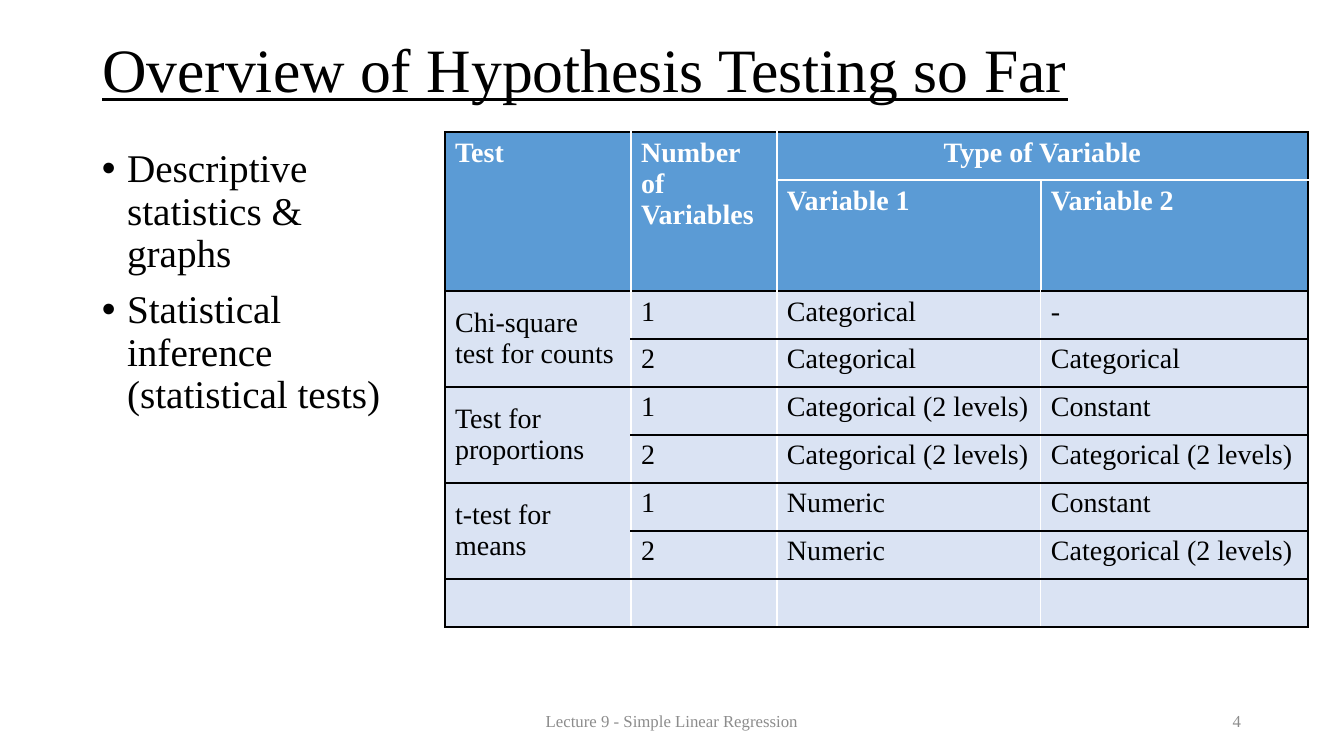
"""Build the slide that sums up the hypothesis tests met so far."""
import pptx
import pptx.dml.color
import pptx.enum.text
import pptx.oxml
import pptx.oxml.ns
import pptx.util

RGB = pptx.dml.color.RGBColor
BLACK = RGB(0x00, 0x00, 0x00)
WHITE = RGB(0xFF, 0xFF, 0xFF)
GREY = RGB(0x8C, 0x8C, 0x8C)
BLUE = RGB(0x5B, 0x9B, 0xD5)
PALE = RGB(0xDA, 0xE3, 0xF3)
ALIGN = pptx.enum.text.PP_ALIGN
ANCHOR = pptx.enum.text.MSO_ANCHOR
SCALE = 914400 / 100.8
PLAIN = "{2D5ABB26-0587-4C30-8999-92F81FD0307C}"

WIDTHS = [186, 146, 264, 267]
HEIGHTS = [48, 103] + [48] * 7
HEADS = 2
MERGES = [(0, 0, 1, 0), (0, 1, 1, 1), (0, 2, 0, 3),
          (2, 0, 3, 0), (4, 0, 5, 0), (6, 0, 7, 0)]
ROWS = [
    ["Test", "Number of Variables", "Type of Variable", ""],
    ["", "", "Variable 1", "Variable 2"],
    ["Chi-square test for counts", "1", "Categorical", "-"],
    ["", "2", "Categorical", "Categorical"],
    ["Test for proportions", "1", "Categorical (2 levels)", "Constant"],
    ["", "2", "Categorical (2 levels)", "Categorical (2 levels)"],
    ["t-test for means", "1", "Numeric", "Constant"],
    ["", "2", "Numeric", "Categorical (2 levels)"],
    ["", "", "", ""],
]


def px(count):
    return pptx.util.Emu(round(count * SCALE))


def child(xml):
    return pptx.oxml.parse_xml(xml.replace(">", f" {pptx.oxml.ns.nsdecls('a')}>", 1))


class Deck:
    def __init__(self):
        self.font = "Times New Roman"
        self.show = pptx.Presentation()
        self.show.slide_width, self.show.slide_height = px(1344), px(756)
        self.slide = self.show.slides.add_slide(self.show.slide_layouts[5])

    def style(self, frame, size, color, bold=False, align=ALIGN.LEFT):
        for para in frame.paragraphs:
            para.alignment = align
            for run in para.runs:
                run.font.name = self.font
                run.font.size = pptx.util.Pt(size)
                run.font.color.rgb = color
                run.font.bold = bold

    def title(self, text, left, top, width, height):
        shape = self.slide.shapes.title
        shape.left, shape.top = px(left), px(top)
        shape.width, shape.height = px(width), px(height)
        frame = shape.text_frame
        frame.text = text
        frame.auto_size = pptx.enum.text.MSO_AUTO_SIZE.NONE
        frame.vertical_anchor = ANCHOR.MIDDLE
        self.style(frame, 44, BLACK)
        frame.paragraphs[0].line_spacing = 0.9
        frame.paragraphs[0].runs[0].font.underline = True

    def box(self, text, left, top, width, height):
        shape = self.slide.shapes.add_textbox(px(left), px(top), px(width), px(height))
        frame = shape.text_frame
        frame.word_wrap = True
        frame.text = text
        return frame

    def list(self, items, left, top, width, height):
        frame = self.box("\n".join(items), left, top, width, height)
        for index, para in enumerate(frame.paragraphs):
            props = para._p.get_or_add_pPr()
            props.set("marL", "228600")
            props.set("indent", "-228600")
            props.append(child('<a:buFont typeface="Arial"></a:buFont>'))
            props.append(child('<a:buChar char="•"></a:buChar>'))
            para.line_spacing = 0.9
            if index:
                para.space_before = pptx.util.Pt(10)
        self.style(frame, 28, BLACK)

    def foot(self, text, left, width, align):
        frame = self.box(text, left, 701, width, 40)
        frame.vertical_anchor = ANCHOR.MIDDLE
        self.style(frame, 12, GREY, align=align)

    def edge(self, cell, side, color, points):
        width = pptx.util.Pt(points)
        cell._tc.get_or_add_tcPr().append(child(
            f'<a:ln{side} w="{width}"><a:solidFill><a:srgbClr val="{color}"/>'
            f'</a:solidFill></a:ln{side}>'))

    def frame(self, cell, row, col):
        head = row < HEADS
        inner = (WHITE, 1.5 if head else 1)
        outer = (BLACK, 1.5)
        split = (WHITE, 1.5)
        wide = cell.span_width if cell.is_merge_origin else 1
        tall = cell.span_height if cell.is_merge_origin else 1
        covered = cell.is_spanned
        if not (covered and row == 0):
            self.edge(cell, "L", *(inner if col else outer))
        self.edge(cell, "R", *(outer if col + wide == len(WIDTHS) else inner))
        if not (covered and row):
            self.edge(cell, "T", *(split if row == 1 else outer))
        self.edge(cell, "B", *(split if row + tall == 1 and col >= 2 else outer))

    def table(self, rows, left, top):
        shape = self.slide.shapes.add_table(
            len(rows), len(WIDTHS), px(left), px(top), px(sum(WIDTHS)), px(sum(HEIGHTS)))
        table = shape.table
        table.first_row = table.horz_banding = False
        table._tbl.tblPr.find(pptx.oxml.ns.qn("a:tableStyleId")).text = PLAIN
        for column, width in zip(table.columns, WIDTHS):
            column.width = px(width)
        for line, height in zip(table.rows, HEIGHTS):
            line.height = px(height)
        for top_row, first, bottom, last in MERGES:
            table.cell(top_row, first).merge(table.cell(bottom, last))
        for row, texts in enumerate(rows):
            for col, text in enumerate(texts):
                cell = table.cell(row, col)
                head = row < HEADS
                cell.text_frame.text = text
                center = cell.is_merge_origin and cell.span_width > 1
                self.style(cell.text_frame, 20, WHITE if head else BLACK, head,
                           ALIGN.CENTER if center else ALIGN.LEFT)
                if cell.is_merge_origin and not head:
                    cell.vertical_anchor = ANCHOR.MIDDLE
                self.frame(cell, row, col)
                cell.fill.solid()
                cell.fill.fore_color.rgb = BLUE if head else PALE


def main():
    deck = Deck()
    deck.title("Overview of Hypothesis Testing so Far", 92, 0, 1159, 146)
    deck.list(["Descriptive statistics & graphs",
               "Statistical inference (statistical tests)"], 92, 144, 332, 480)
    deck.table(ROWS, 445, 132)
    deck.foot("Lecture 9 - Simple Linear Regression", 445, 454, ALIGN.CENTER)
    deck.foot("4", 949, 302, ALIGN.RIGHT)
    deck.show.save("out.pptx")


if __name__ == "__main__":
    main()
